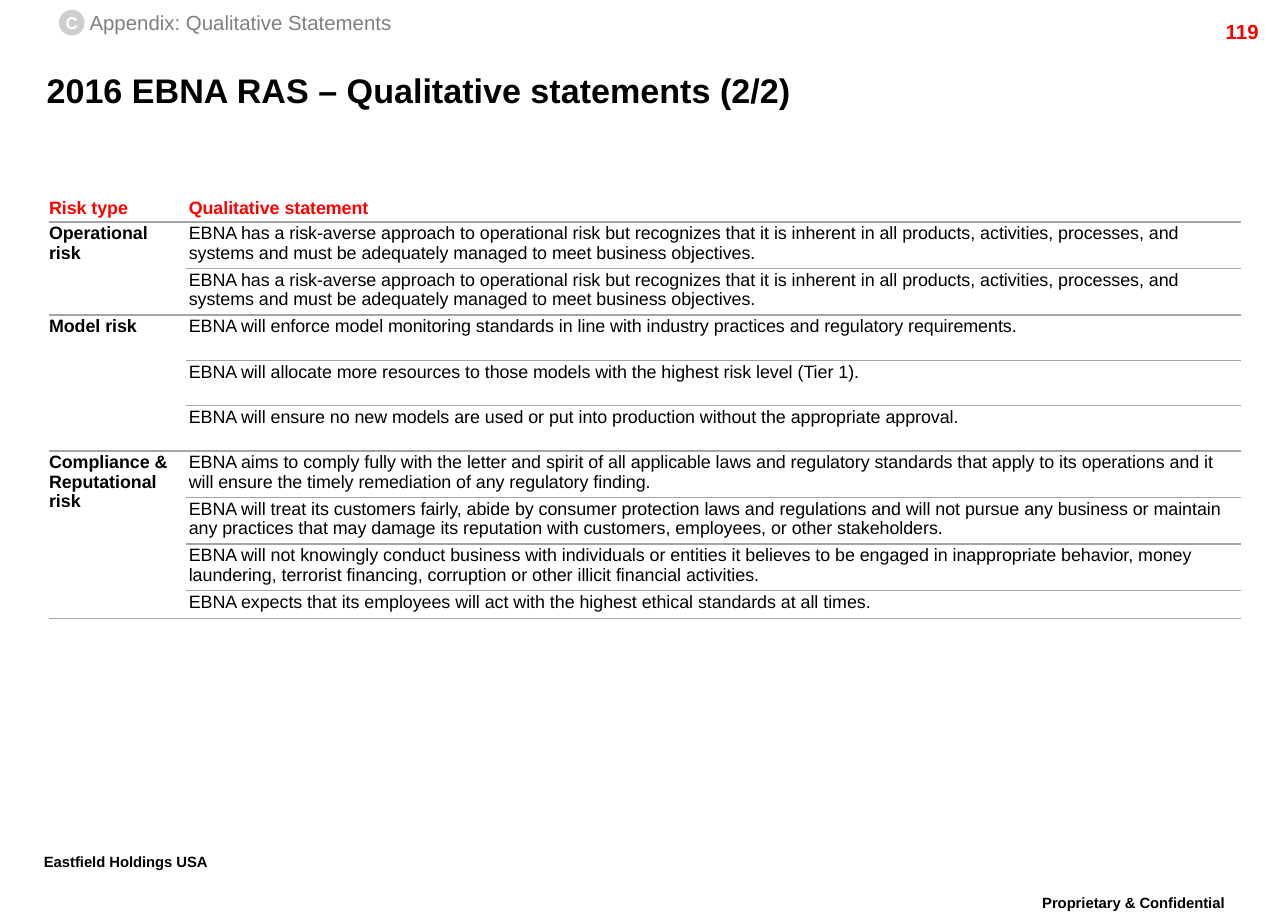
"""Build the qualitative risk statements slide."""
import pptx
import pptx.util
import pptx.dml.color
import pptx.enum.shapes
import pptx.enum.text
import pptx.oxml.ns
import lxml.etree

Inches = pptx.util.Inches
Align = pptx.enum.text.PP_ALIGN
Anchor = pptx.enum.text.MSO_ANCHOR

COLORS = {"black": "000000", "red": "FF0000", "gray": "808080",
          "badge": "CECECE", "rule": "A5A5A5", "white": "FFFFFF"}
HEADERS = ("Risk type", "Qualitative statement")
OPERATIONAL = ("EBNA has a risk-averse approach to operational risk but recognizes that it is inherent in all "
               "products, activities, processes, and systems and must be adequately managed to meet business "
               "objectives.")
RISKS = [
    ("Operational risk", [OPERATIONAL, OPERATIONAL]),
    ("Model risk", [
        "EBNA will enforce model monitoring standards in line with industry practices and regulatory requirements.",
        "EBNA will allocate more resources to those models with the highest risk level (Tier 1).",
        "EBNA will ensure no new models are used or put into production without the appropriate approval.",
    ]),
    ("Compliance & Reputational risk", [
        "EBNA aims to comply fully with the letter and spirit of all applicable laws and regulatory standards "
        "that apply to its operations and it will ensure the timely remediation of any regulatory finding.",
        "EBNA will treat its customers fairly, abide by consumer protection laws and regulations and will not "
        "pursue any business or maintain any practices that may damage its reputation with customers, "
        "employees, or other stakeholders.",
        "EBNA will not knowingly conduct business with individuals or entities it believes to be engaged in "
        "inappropriate behavior, money laundering, terrorist financing, corruption or other illicit financial "
        "activities.",
        "EBNA expects that its employees will act with the highest ethical standards at all times.",
    ]),
]
COLUMN_WIDTHS = (1.12, 8.6)
HEADER_HEIGHT, ROW_HEIGHT, LAST_HEIGHT = 0.2, 0.37, 0.23
FOOTERS = [
    ("Proprietary & Confidential", (8.15, 7.25, 2.18, 0.35), Align.CENTER, True),
    ("Eastfield Holdings USA", (0.26, 6.91, 1.91, 0.35), Align.LEFT, False),
]


def rgb(name):
    return pptx.dml.color.RGBColor.from_string(COLORS[name])


def write(frame, text, size, color, bold=False, align=Align.LEFT, spacing=None):
    paragraph = frame.paragraphs[0]
    paragraph.alignment = align
    if spacing:
        paragraph.line_spacing = spacing
    run = paragraph.add_run()
    run.text = text
    run.font.name = "Arial"
    run.font.size = pptx.util.Pt(size)
    run.font.bold = bold
    run.font.color.rgb = rgb(color)
    return run


def set_margins(target, left, top, right, bottom):
    target.margin_left, target.margin_top = Inches(left), Inches(top)
    target.margin_right, target.margin_bottom = Inches(right), Inches(bottom)


def add_text(slide, box, text, size, color, wrap=True, inset=True, anchor=Anchor.TOP, **style):
    frame = slide.shapes.add_textbox(*map(Inches, box)).text_frame
    frame.word_wrap = wrap
    frame.vertical_anchor = anchor
    if not inset:
        set_margins(frame, 0, 0, 0, 0)
    return write(frame, text, size, color, **style)


def set_borders(cell, ruled):
    properties = cell._tc.get_or_add_tcPr()
    for side in "LRTB":
        line = lxml.etree.SubElement(properties, pptx.oxml.ns.qn(f"a:ln{side}"), w="9525")
        if side in ruled:
            fill = lxml.etree.SubElement(line, pptx.oxml.ns.qn("a:solidFill"))
            lxml.etree.SubElement(fill, pptx.oxml.ns.qn("a:srgbClr"), val=COLORS["rule"])
        else:
            lxml.etree.SubElement(line, pptx.oxml.ns.qn("a:noFill"))


def fill_cell(table, row, column, text, color, bold):
    cell = table.cell(row, column)
    set_margins(cell, 0.02 * column, 0.02, 0.02, 0.02)
    cell.vertical_anchor = Anchor.TOP if row else Anchor.MIDDLE
    write(cell.text_frame, text, 10.5, color, bold, spacing=0.97)


def add_risk_table(slide):
    statement_count = sum(len(statements) for _, statements in RISKS)
    heights = [HEADER_HEIGHT] + [ROW_HEIGHT] * (statement_count - 1) + [LAST_HEIGHT]
    frame = slide.shapes.add_table(len(heights), len(COLUMN_WIDTHS), Inches(0.4), Inches(1.6),
                                   Inches(sum(COLUMN_WIDTHS)), Inches(sum(heights)))
    table = frame.table
    table.first_row = table.horz_banding = False
    for column, width in zip(table.columns, COLUMN_WIDTHS):
        column.width = Inches(width)
    for row, height in zip(table.rows, heights):
        row.height = Inches(height)
    for column, header in enumerate(HEADERS):
        fill_cell(table, 0, column, header, "red", True)

    group_starts, group_ends = set(), {0}
    first = 1
    for risk, statements in RISKS:
        last = first + len(statements) - 1
        group_starts.add(first)
        group_ends.add(last)
        table.cell(first, 0).merge(table.cell(last, 0))
        fill_cell(table, first, 0, risk, "black", True)
        for row, statement in enumerate(statements, first):
            fill_cell(table, row, 1, statement, "black", False)
        first = last + 1

    for row in range(len(heights)):
        for column in range(len(COLUMN_WIDTHS)):
            cell = table.cell(row, column)
            ruled = "T" if row and (column or row in group_starts) else ""
            if column or row in group_ends or cell.is_merge_origin:
                ruled += "B"
            set_borders(cell, ruled)
            cell.fill.solid()
            cell.fill.fore_color.rgb = rgb("white")


def add_badge(slide):
    badge = slide.shapes.add_shape(pptx.enum.shapes.MSO_SHAPE.OVAL, *map(Inches, (0.48, 0.08, 0.21, 0.21)))
    badge.shadow.inherit = False
    badge.fill.solid()
    badge.fill.fore_color.rgb = rgb("badge")
    badge.line.fill.background()
    frame = badge.text_frame
    frame.word_wrap = False
    frame.vertical_anchor = Anchor.MIDDLE
    set_margins(frame, 0, 0, 0, 0)
    write(frame, "C", 10, "white", bold=True, align=Align.CENTER)


def main():
    presentation = pptx.Presentation()
    presentation.slide_width, presentation.slide_height = Inches(10.5), Inches(7.5)
    slide = presentation.slides.add_slide(presentation.slide_layouts[6])
    for text, box, align, wrap in FOOTERS:
        run = add_text(slide, box, text, 15, "black", wrap=wrap, bold=True, align=align, spacing=0.86)
        run._r.get_or_add_rPr().set("baseline", "30000")
    add_text(slide, (9.36, 0.11, 1, 0.24), "119", 12, "red", bold=True, align=Align.RIGHT)
    add_text(slide, (0.38, 0.49, 9.48, 0.48), "2016 EBNA RAS – Qualitative statements (2/2)", 20, "black",
             inset=False, anchor=Anchor.MIDDLE, bold=True)
    add_risk_table(slide)
    add_badge(slide)
    add_text(slide, (0.73, 0.08, 2.48, 0.2), "Appendix: Qualitative Statements", 12, "gray",
             wrap=False, inset=False, anchor=Anchor.MIDDLE)
    presentation.save("out.pptx")


if __name__ == "__main__":
    main()
